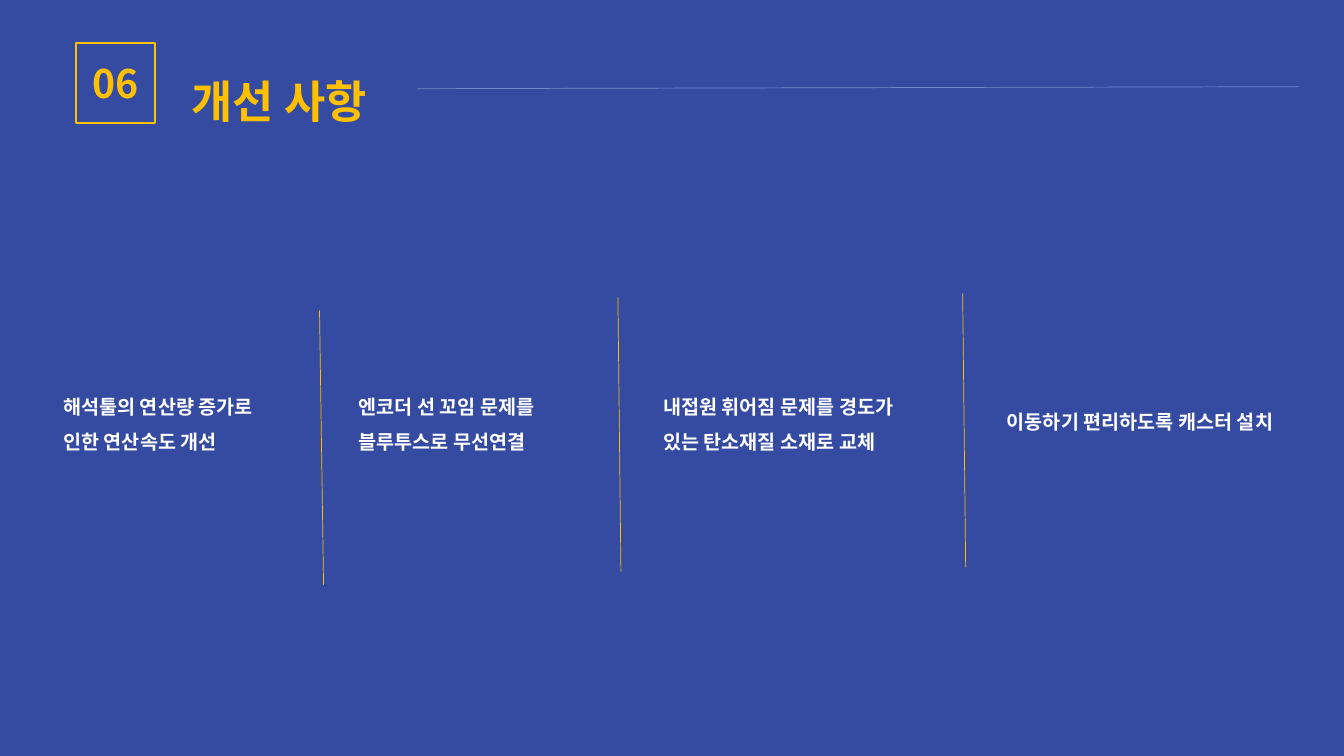
from dataclasses import dataclass

import pptx
import pptx.dml.color
import pptx.enum.shapes
import pptx.enum.text
import pptx.oxml
import pptx.oxml.ns
import pptx.util

COLORS = {"back": "354BA1", "gold": "FFC000", "rule": "7488D2", "text": "FFFFFF"}
FACE = "Noto Sans CJK KR"
CELL = 0.1  # inches per grid column and row
COLS, ROWS = 133.33, 75
ALIGN = pptx.enum.text.PP_ALIGN
ANCHOR = pptx.enum.text.MSO_ANCHOR


@dataclass
class Note:
    text: str
    col: float
    row: float
    wide: float
    high: float


@dataclass
class Rule:
    col: float
    row: float
    run: float
    rise: float
    color: str = "gold"


NOTES = [
    Note("해석툴의 연산량 증가로 인한 연산속도 개선", 5.3, 37.5, 24, 7.9),
    Note("엔코더 선 꼬임 문제를 블루투스로 무선연결", 34.6, 37.5, 24, 7.9),
    Note("내접원 휘어짐 문제를 경도가 있는 탄소재질 소재로 교체", 64.8, 37.5, 27.5, 7.9),
    Note("이동하기 편리하도록 캐스터 설치", 98.9, 39, 32.1, 4.5),
]
DROP = 27.2
RULES = [
    Rule(41.4, 8.8, 87.4, -0.2, "rule"),
    Rule(31.7, 30.8, 0.4, DROP),
    Rule(61.3, 29.5, 0.3, DROP),
    Rule(95.5, 29.1, 0.3, DROP),
]


def grid(count: float) -> int:
    """Turn grid columns or rows into a slide length."""
    return pptx.util.Inches(count * CELL)


def paint(name: str) -> pptx.dml.color.RGBColor:
    return pptx.dml.color.RGBColor.from_string(COLORS[name])


def write(shape, text: str, size: float, color: str, space: float = 1.5,
          align=ALIGN.LEFT, anchor=ANCHOR.TOP, fit: bool = True) -> None:
    frame = shape.text_frame
    frame.text = text
    frame.word_wrap = True
    frame.vertical_anchor = anchor
    kinds = pptx.enum.text.MSO_AUTO_SIZE
    frame.auto_size = kinds.SHAPE_TO_FIT_TEXT if fit else kinds.NONE
    para = frame.paragraphs[0]
    para.alignment = align
    para.line_spacing = space
    para.space_before = pptx.util.Pt(0)
    run = para.runs[0]
    font = run.font
    font.size = pptx.util.Pt(size)
    font.bold = True
    font.color.rgb = paint(color)
    font.name = FACE
    props = run._r.get_or_add_rPr()
    props.set("kern", "0")
    props.append(pptx.oxml.parse_xml(
        f'<a:ea {pptx.oxml.ns.nsdecls("a")} typeface="{FACE}"/>'))


def head(slide) -> None:
    """Place the numbered square and the title."""
    box = slide.shapes.add_shape(
        pptx.enum.shapes.MSO_SHAPE.RECTANGLE,
        grid(7.5), grid(4.3), grid(7.9), grid(7.9))
    box.shadow.inherit = False
    box.fill.background()
    box.line.color.rgb = paint("gold")
    box.line.width = pptx.util.Pt(1.5)
    write(box, "06", 28, "gold", 1, ALIGN.CENTER, ANCHOR.MIDDLE, False)

    title = slide.shapes.title
    title.left, title.top = grid(18), grid(4.1)
    title.width, title.height = grid(53.5), grid(8)
    write(title, "개선 사항", 32, "gold")


def draw(slide, rule: Rule) -> None:
    line = slide.shapes.add_connector(
        pptx.enum.shapes.MSO_CONNECTOR.STRAIGHT,
        grid(rule.col), grid(rule.row),
        grid(rule.col + rule.run), grid(rule.row + rule.rise))
    line.line.color.rgb = paint(rule.color)
    line.line.width = pptx.util.Pt(0.5)
    line._element.spPr.append(pptx.oxml.parse_xml(
        f'<a:effectLst {pptx.oxml.ns.nsdecls("a")}/>'))


def place(slide, note: Note) -> None:
    box = slide.shapes.add_textbox(
        grid(note.col), grid(note.row), grid(note.wide), grid(note.high))
    write(box, note.text, 14, "text")


def main() -> None:
    deck = pptx.Presentation()
    deck.slide_width, deck.slide_height = grid(COLS), grid(ROWS)
    slide = deck.slides.add_slide(deck.slide_layouts.get_by_name("Title Only"))
    slide.background.fill.solid()
    slide.background.fill.fore_color.rgb = paint("back")
    head(slide)
    for rule in RULES:
        draw(slide, rule)
    for note in NOTES:
        place(slide, note)
    deck.save("out.pptx")


if __name__ == "__main__":
    main()
